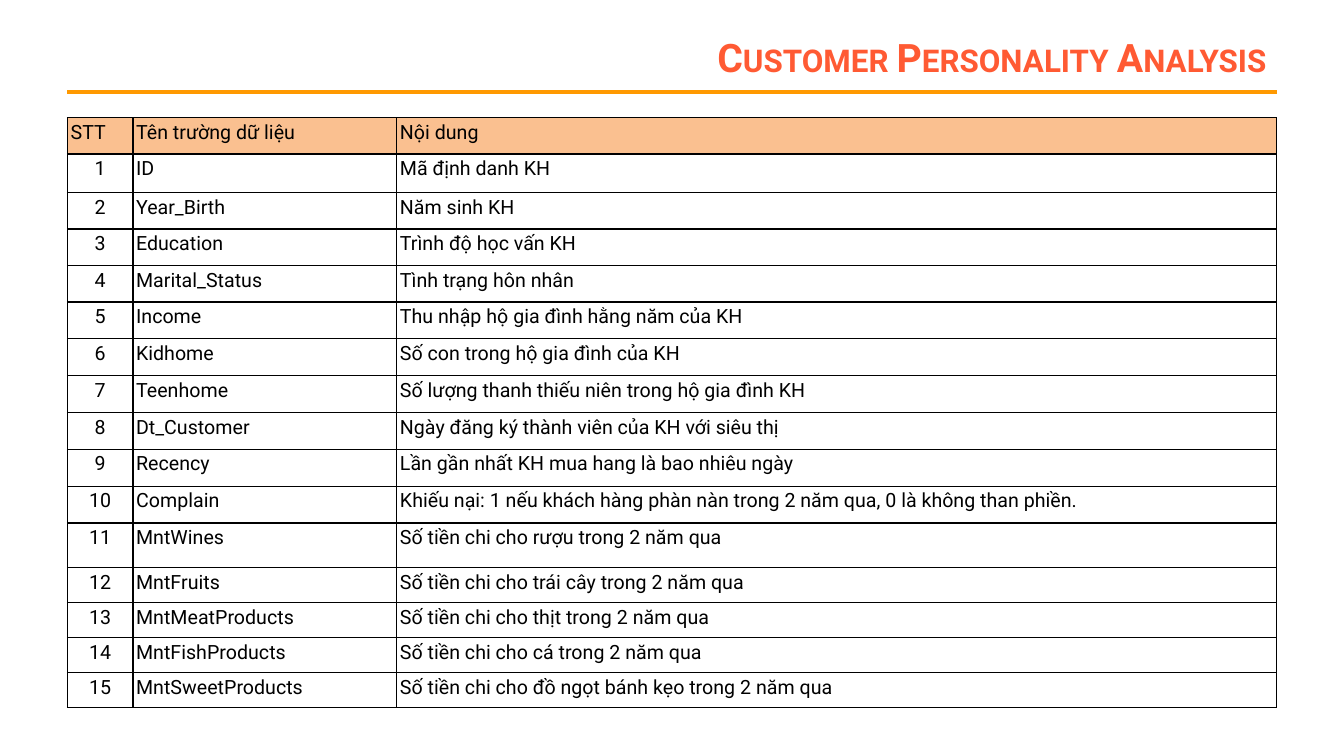
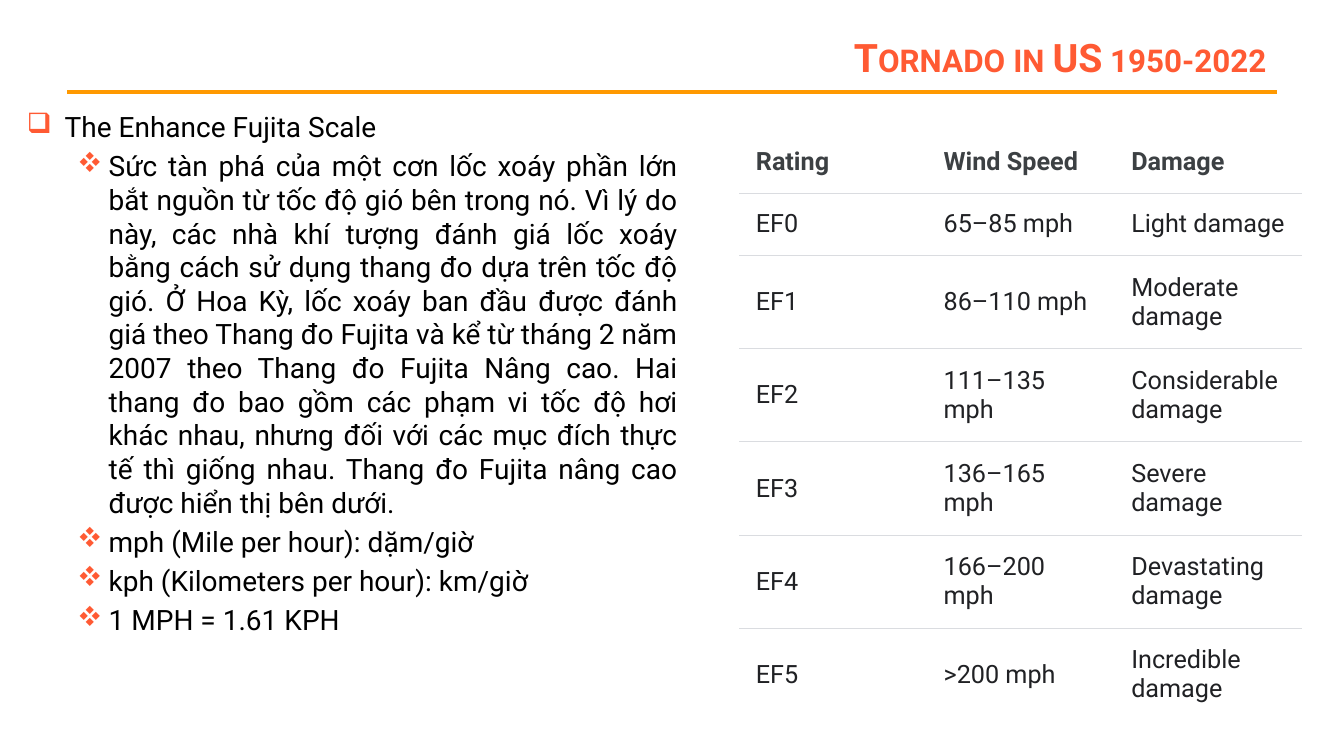
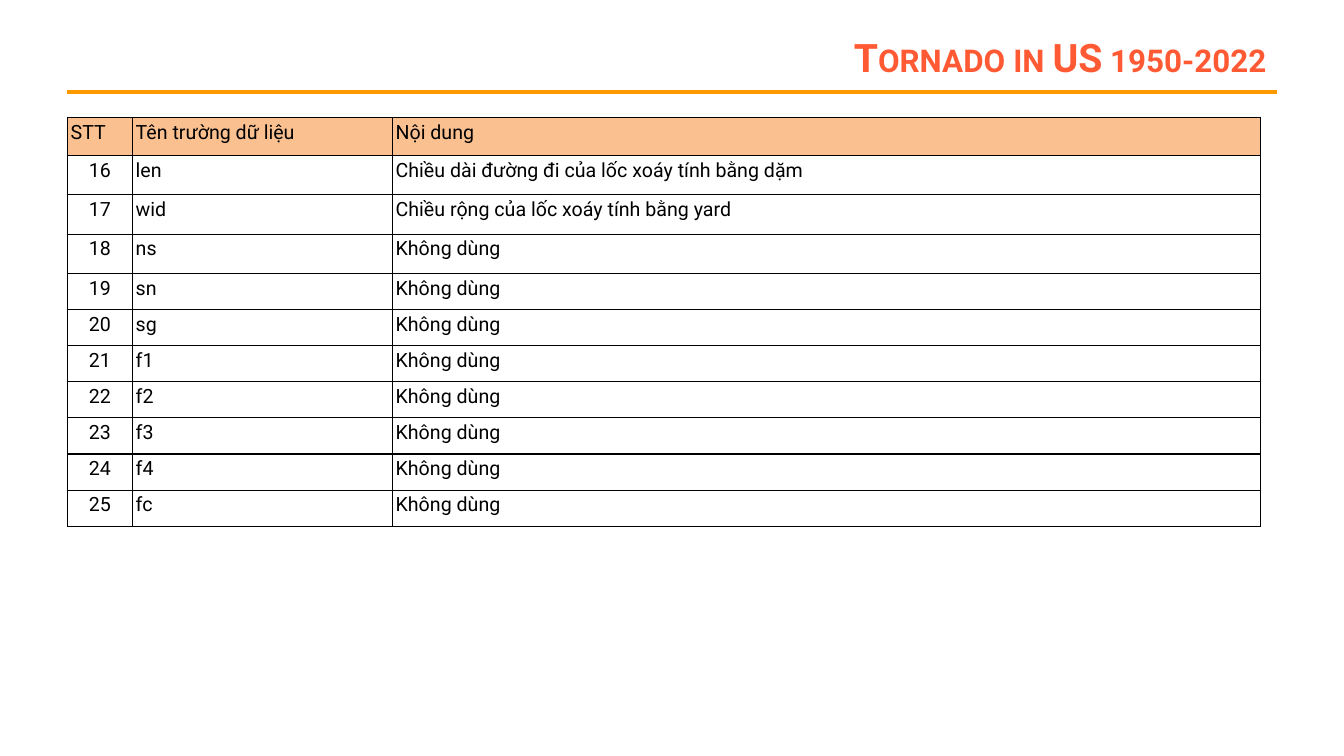
from dataclasses import dataclass

from lxml import etree
from pptx import Presentation
from pptx.dml.color import RGBColor
from pptx.enum.shapes import MSO_CONNECTOR
from pptx.enum.text import MSO_ANCHOR, PP_ALIGN
from pptx.oxml.ns import qn
from pptx.util import Cm, Pt

STRAIGHT = MSO_CONNECTOR.STRAIGHT
TOP, MIDDLE = MSO_ANCHOR.TOP, MSO_ANCHOR.MIDDLE
LEFT, CENTER, RIGHT, JUSTIFY = PP_ALIGN.LEFT, PP_ALIGN.CENTER, PP_ALIGN.RIGHT, PP_ALIGN.JUSTIFY
SIDES = ("lnL", "lnR", "lnT", "lnB")


@dataclass(frozen=True)
class Theme:
    font: str = "Roboto"
    bullet_font: str = "Wingdings"
    accent: str = "FF5A33"
    rule: str = "FF9900"
    text: str = "000000"
    header_fill: str = "FAC090"
    scale_head: str = "3C4043"
    scale_text: str = "202124"
    scale_line: str = "DADCE0"
    title_size: int = 28
    body_size: int = 20
    scale_size: int = 18
    field_size: int = 14


def put(obj, **values):
    for name, value in values.items():
        setattr(obj, name, value)


def sub(parent, tag, **attrs):
    """Append a child element in the drawing namespace."""
    return etree.SubElement(parent, qn(f"a:{tag}"), {k: str(v) for k, v in attrs.items()})


def set_borders(cell, color, width, visible):
    """Draw the visible sides of a cell and clear the others."""
    tc_pr = cell._tc.get_or_add_tcPr()
    for side in SIDES:
        ln = sub(tc_pr, side, w=Pt(width))
        if side in visible:
            sub(sub(ln, "solidFill"), "srgbClr", val=color)
        else:
            sub(ln, "noFill")


class Deck:
    def __init__(self, theme):
        self.theme = theme
        self.prs = Presentation()
        put(self.prs, slide_width=Cm(33.87), slide_height=Cm(19.05))
        self.s = None

    def slide(self, title):
        t = self.theme
        self.s = self.prs.slides.add_slide(self.prs.slide_layouts[6])
        line = self.s.shapes.add_connector(STRAIGHT, Cm(1.7), Cm(2.32), Cm(32.18), Cm(2.32))
        line.line.color.rgb = RGBColor.from_string(t.rule)
        line.line.width = Pt(3)
        sub(line._element.spPr, "effectLst")
        tf = self.textbox(6.21, 0.76, 25.96, 1.35, MIDDLE)
        r = self.run(tf.paragraphs[0], title, t.title_size, t.accent, bold=True, align=RIGHT)
        r.font._element.set("cap", "small")

    def textbox(self, x, y, w, h, anchor=TOP):
        tf = self.s.shapes.add_textbox(Cm(x), Cm(y), Cm(w), Cm(h)).text_frame
        put(tf, word_wrap=True, vertical_anchor=anchor)
        return tf

    def run(self, p, text, size, color, bold=False, align=LEFT):
        p.alignment = align
        r = p.add_run()
        r.text = text
        put(r.font, name=self.theme.font, size=Pt(size), bold=bold)
        r.font.color.rgb = RGBColor.from_string(color)
        return r

    def bullets(self, x, y, w, h, items):
        """Write (level, text) items, each level with its own symbol-font mark and indent."""
        t = self.theme
        marks = (("q", 0.95, 0.95), ("v", 2.06, 0.79))
        tf = self.textbox(x, y, w, h)
        for i, (level, text) in enumerate(items):
            p = tf.add_paragraph() if i else tf.paragraphs[0]
            mark, margin, hanging = marks[level]
            p.level = level
            if i:
                p.space_before = Pt(t.body_size * 0.2)
            p_pr = p._p.get_or_add_pPr()
            p_pr.set("marL", str(Cm(margin)))
            p_pr.set("indent", str(-Cm(hanging)))
            sub(sub(p_pr, "buClr"), "srgbClr", val=t.accent)
            sub(p_pr, "buFont", typeface=t.bullet_font, pitchFamily=2, charset=2)
            sub(p_pr, "buChar", char=mark)
            self.run(p, text, t.body_size, t.text, align=JUSTIFY)

    def table(self, x, y, widths, heights):
        shape = self.s.shapes.add_table(len(heights), len(widths), Cm(x), Cm(y),
                                        Cm(sum(widths)), Cm(sum(heights)))
        table = shape.table
        put(table, first_row=False, horz_banding=False)
        for column, width in zip(table.columns, widths):
            column.width = Cm(width)
        for row, height in zip(table.rows, heights):
            row.height = Cm(height)
        return table

    def fill_cell(self, cell, text, size, color, margins, anchor=TOP, fill=None, spacing=None, **style):
        mx, my = map(Cm, margins)
        put(cell, margin_left=mx, margin_right=mx, margin_top=my, margin_bottom=my,
            vertical_anchor=anchor)
        if fill:
            cell.fill.solid()
            cell.fill.fore_color.rgb = RGBColor.from_string(fill)
        else:
            cell.fill.background()
        p = cell.text_frame.paragraphs[0]
        if spacing:
            p.line_spacing = spacing
        self.run(p, text, size, color, **style)

    def field_table(self, first, fields, widths, heights):
        """List data fields, numbered from first, under a coloured header."""
        t = self.theme
        rows = [("STT", "Tên trường dữ liệu", "Nội dung")]
        rows += [(str(n), *field) for n, field in enumerate(fields, first)]
        table = self.table(1.7, 2.97, widths, heights)
        for i, row in enumerate(rows):
            for j, text in enumerate(row):
                cell = table.cell(i, j)
                set_borders(cell, t.text, 1, SIDES)
                self.fill_cell(cell, text, t.field_size, t.text, (0.08, 0), spacing=1.15,
                               fill=None if i else t.header_fill,
                               align=CENTER if i and j == 0 else JUSTIFY)

    def scale_table(self, rows):
        """Show the rating scale with thin lines between the rows only."""
        t = self.theme
        table = self.table(18.63, 3.28, [4.73] * 3, [1.47] * len(rows))
        for i, row in enumerate(rows):
            visible = [side for side, shown in (("lnT", i > 0), ("lnB", i < len(rows) - 1)) if shown]
            for j, text in enumerate(row):
                cell = table.cell(i, j)
                set_borders(cell, t.scale_line, 0.75, visible)
                self.fill_cell(cell, text, t.scale_size, t.scale_text if i else t.scale_head,
                               (0.42, 0.41), anchor=MIDDLE, bold=i == 0)


CUSTOMER_FIELDS = [
    ("ID", "Mã định danh KH"),
    ("Year_Birth", "Năm sinh KH"),
    ("Education", "Trình độ học vấn KH"),
    ("Marital_Status", "Tình trạng hôn nhân"),
    ("Income", "Thu nhập hộ gia đình hằng năm của KH"),
    ("Kidhome", "Số con trong hộ gia đình của KH"),
    ("Teenhome", "Số lượng thanh thiếu niên trong hộ gia đình KH"),
    ("Dt_Customer", "Ngày đăng ký thành viên của KH với siêu thị"),
    ("Recency", "Lần gần nhất KH mua hang là bao nhiêu ngày"),
    ("Complain", "Khiếu nại: 1 nếu khách hàng phàn nàn trong 2 năm qua, 0 là không than phiền."),
    ("MntWines", "Số tiền chi cho rượu trong 2 năm qua"),
    ("MntFruits", "Số tiền chi cho trái cây trong 2 năm qua"),
    ("MntMeatProducts", "Số tiền chi cho thịt trong 2 năm qua"),
    ("MntFishProducts", "Số tiền chi cho cá trong 2 năm qua"),
    ("MntSweetProducts", "Số tiền chi cho đồ ngọt bánh kẹo trong 2 năm qua"),
]

FUJITA_NOTES = [
    (0, "The Enhance Fujita Scale"),
    (1, "Sức tàn phá của một cơn lốc xoáy phần lớn bắt nguồn từ tốc độ gió bên trong nó. "
        "Vì lý do này, các nhà khí tượng đánh giá lốc xoáy bằng cách sử dụng thang đo dựa "
        "trên tốc độ gió. Ở Hoa Kỳ, lốc xoáy ban đầu được đánh giá theo Thang đo Fujita và "
        "kể từ tháng 2 năm 2007 theo Thang đo Fujita Nâng cao. Hai thang đo bao gồm các "
        "phạm vi tốc độ hơi khác nhau, nhưng đối với các mục đích thực tế thì giống nhau. "
        "Thang đo Fujita nâng cao được hiển thị bên dưới."),
    (1, "mph (Mile per hour): dặm/giờ"),
    (1, "kph (Kilometers per hour): km/giờ"),
    (1, "1 MPH = 1.61 KPH"),
]

FUJITA_SCALE = [
    ("Rating", "Wind Speed", "Damage"),
    ("EF0", "65–85 mph", "Light damage"),
    ("EF1", "86–110 mph", "Moderate damage"),
    ("EF2", "111–135 mph", "Considerable damage"),
    ("EF3", "136–165 mph", "Severe damage"),
    ("EF4", "166–200 mph", "Devastating damage"),
    ("EF5", ">200 mph", "Incredible damage"),
]

TORNADO_FIELDS = [
    ("len", "Chiều dài đường đi của lốc xoáy tính bằng dặm"),
    ("wid", "Chiều rộng của lốc xoáy tính bằng yard"),
    *((name, "Không dùng") for name in ("ns", "sn", "sg", "f1", "f2", "f3", "f4", "fc")),
]

TORNADO_TITLE = "Tornado in US 1950-2022"


def main():
    deck = Deck(Theme())

    deck.slide("Customer Personality Analysis")
    deck.field_table(1, CUSTOMER_FIELDS, [1.65, 6.65, 22.17],
                     [0.91, 0.97] + [0.92] * 4 + [0.93] * 5 + [1.12] + [0.88] * 4)

    deck.slide(TORNADO_TITLE)
    deck.bullets(0.43, 2.64, 16.9, 15.67, FUJITA_NOTES)
    deck.scale_table(FUJITA_SCALE)

    deck.slide(TORNADO_TITLE)
    deck.field_table(16, TORNADO_FIELDS, [1.64, 6.55, 21.87],
                     [0.95] + [0.99] * 3 + [0.91] * 7)

    deck.prs.save("out.pptx")


if __name__ == "__main__":
    main()
